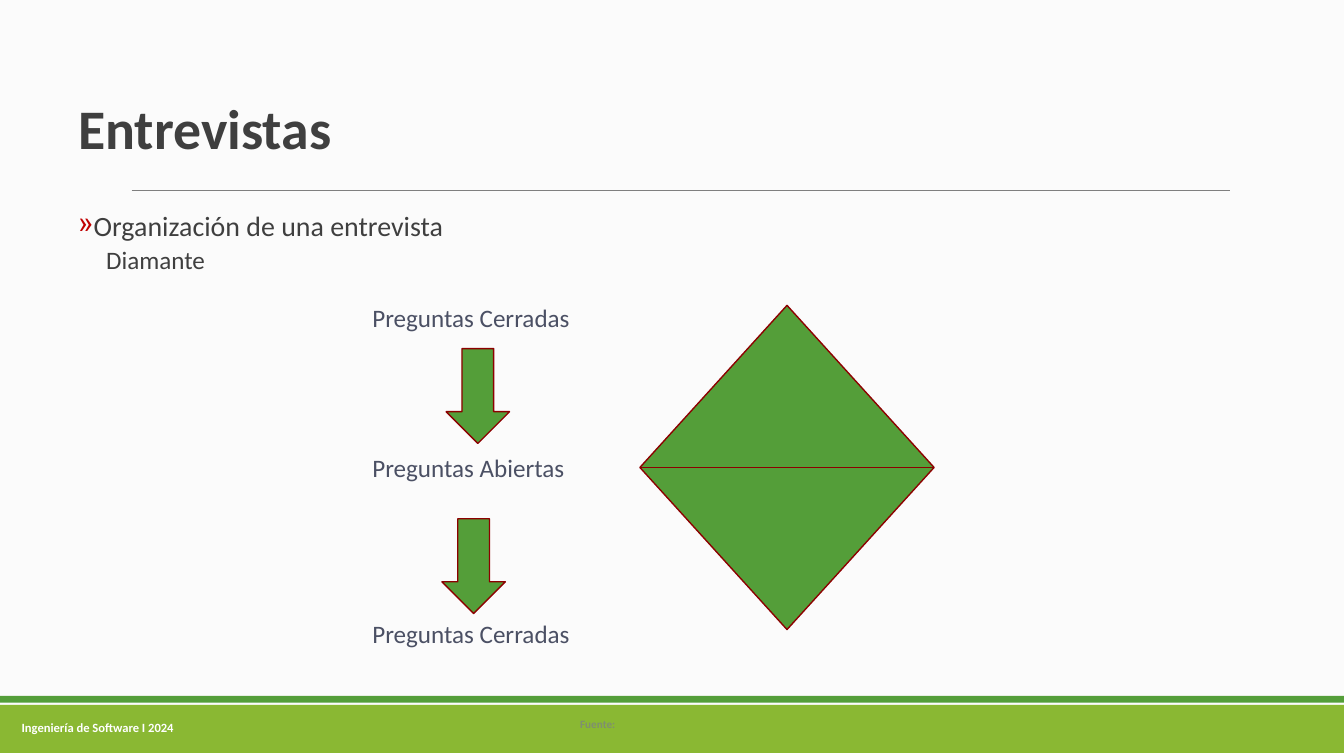
from lxml import etree
from pptx import Presentation
from pptx.dml.color import RGBColor
from pptx.enum.shapes import MSO_CONNECTOR, MSO_SHAPE
from pptx.enum.text import MSO_ANCHOR, PP_ALIGN
from pptx.oxml.ns import qn
from pptx.util import Pt

TITLE_ONLY = 5
LEFT, CENTER = PP_ALIGN.LEFT, PP_ALIGN.CENTER
TOP, MIDDLE = MSO_ANCHOR.TOP, MSO_ANCHOR.MIDDLE
RECTANGLE, DOWN_ARROW = MSO_SHAPE.RECTANGLE, MSO_SHAPE.DOWN_ARROW
DIAMOND = MSO_SHAPE.FLOWCHART_SORT
GREEN, LIME, DARK_RED = "549E39", "8AB833", "8C0000"
DARK_GRAY, SLATE = "3F3F3F", "4B5064"

deck = Presentation()
deck.slide_width, deck.slide_height = Pt(964), Pt(540)
page = deck.slides.add_slide(deck.slide_layouts[TITLE_ONLY])
page.background.fill.solid()
page.background.fill.fore_color.rgb = RGBColor.from_string("FBFBFB")


def add_figure(kind, left, top, width, height, fill, outline=None):
    figure = page.shapes.add_shape(kind, Pt(left), Pt(top), Pt(width), Pt(height))
    figure.shadow.inherit = False
    figure.fill.solid()
    figure.fill.fore_color.rgb = RGBColor.from_string(fill)
    if outline:
        figure.line.color.rgb = RGBColor.from_string(outline)
        figure.line.width = Pt(1)
    else:
        figure.line.fill.background()


def write(box, text, size, color, bold=False, align=LEFT, anchor=TOP,
          spacing=1.0, before=0, indent=0, bullet=None, more=False):
    """Fill the first paragraph of the box, or append one when more is true."""
    frame = box.text_frame
    frame.word_wrap = True
    frame.vertical_anchor = anchor
    para = frame.add_paragraph() if more else frame.paragraphs[0]
    para.alignment = align
    para.line_spacing = spacing
    para.space_before = Pt(before)
    if bullet:
        settings = para._p.get_or_add_pPr()
        settings.set("marL", str(Pt(indent)))
        settings.set("indent", str(-Pt(indent)))
        bullet_color = etree.SubElement(settings, qn("a:buClr"))
        etree.SubElement(bullet_color, qn("a:srgbClr"), val="C00000")
        etree.SubElement(settings, qn("a:buChar"), char=bullet)
    span = para.add_run()
    span.text = text
    span.font.name = "Calibri"
    span.font.size = Pt(size)
    span.font.bold = bold
    span.font.color.rgb = RGBColor.from_string(color)


# Footer bands and title rule
add_figure(RECTANGLE, 0, 505.5, 964, 34.5, LIME)
add_figure(RECTANGLE, 0, 499, 964, 5, GREEN)
rule = page.shapes.add_connector(MSO_CONNECTOR.STRAIGHT,
                                 Pt(94.5), Pt(136.5), Pt(882), Pt(136.5))
rule.line.color.rgb = RGBColor.from_string("7F7F7F")
rule.line.width = Pt(0.75)
etree.SubElement(rule._element.spPr, qn("a:effectLst"))

course = page.shapes.add_textbox(Pt(6), Pt(507.5), Pt(128), Pt(29))
write(course, "Ingeniería de Software I 2024", 9, "FFFFFF", bold=True,
      align=CENTER, anchor=MIDDLE)
source = page.shapes.add_textbox(Pt(409), Pt(509), Pt(60), Pt(20))
write(source, "Fuente:", 8, "7F8F6F", bold=True, anchor=MIDDLE)

# Title and outline
title = page.shapes.title
title.left, title.top, title.width, title.height = Pt(49), Pt(50.5), Pt(852), Pt(89)
write(title, "Entrevistas", 40, DARK_GRAY, bold=True, anchor=MIDDLE, spacing=0.85)

outline = page.shapes.add_textbox(Pt(49), Pt(150), Pt(774), Pt(60))
write(outline, "Organización de una entrevista", 20, DARK_GRAY, spacing=0.85,
      indent=5, bullet="»")
write(outline, "Diamante", 18, DARK_GRAY, spacing=0.85, before=4.5,
      indent=20, bullet=" ", more=True)

# Question sequence and diamond
for label, top in (("Preguntas Cerradas", 213),
                   ("Preguntas Abiertas", 321),
                   ("Preguntas Cerradas", 440)):
    step = page.shapes.add_textbox(Pt(260), Pt(top), Pt(160), Pt(30))
    write(step, label, 18, SLATE)

for left, top in ((320, 250), (317, 372)):
    add_figure(DOWN_ARROW, left, top, 45.5, 68, GREEN, DARK_RED)
add_figure(DIAMOND, 459, 219, 211, 232.5, GREEN, DARK_RED)

deck.save("out.pptx")
